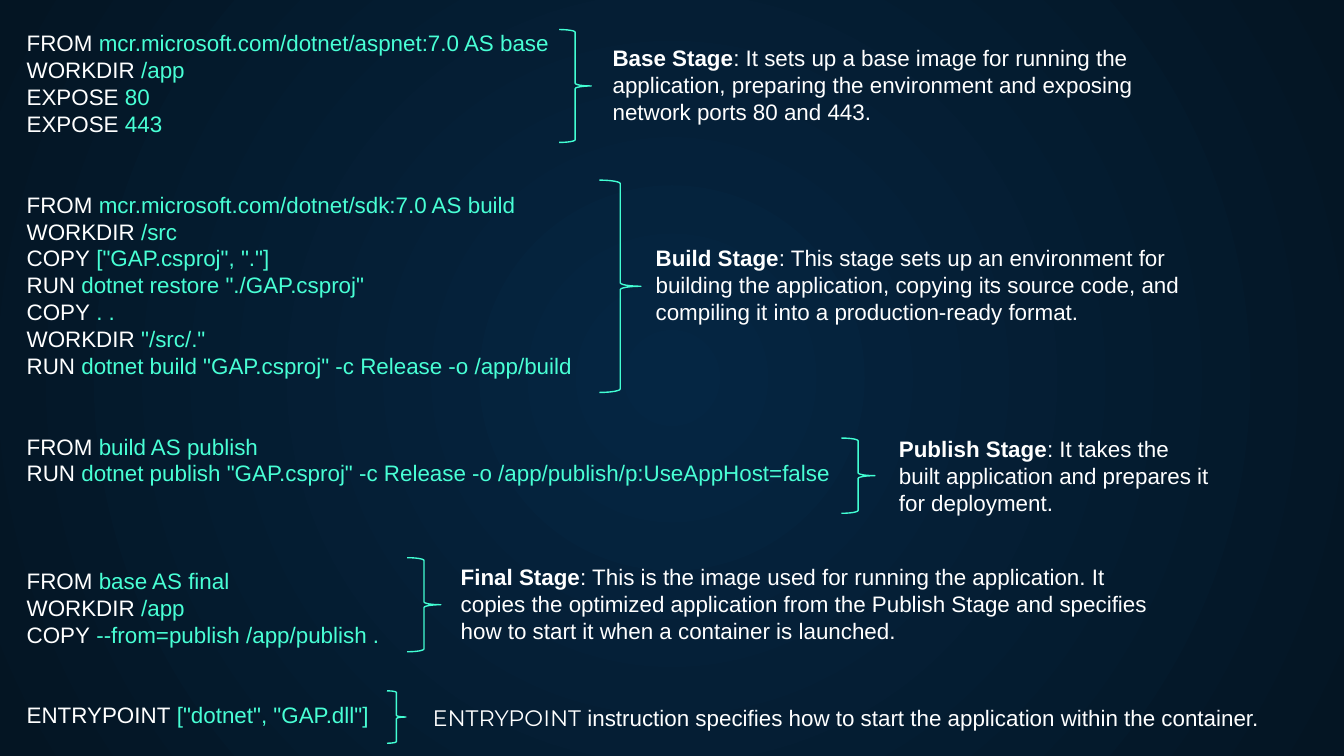
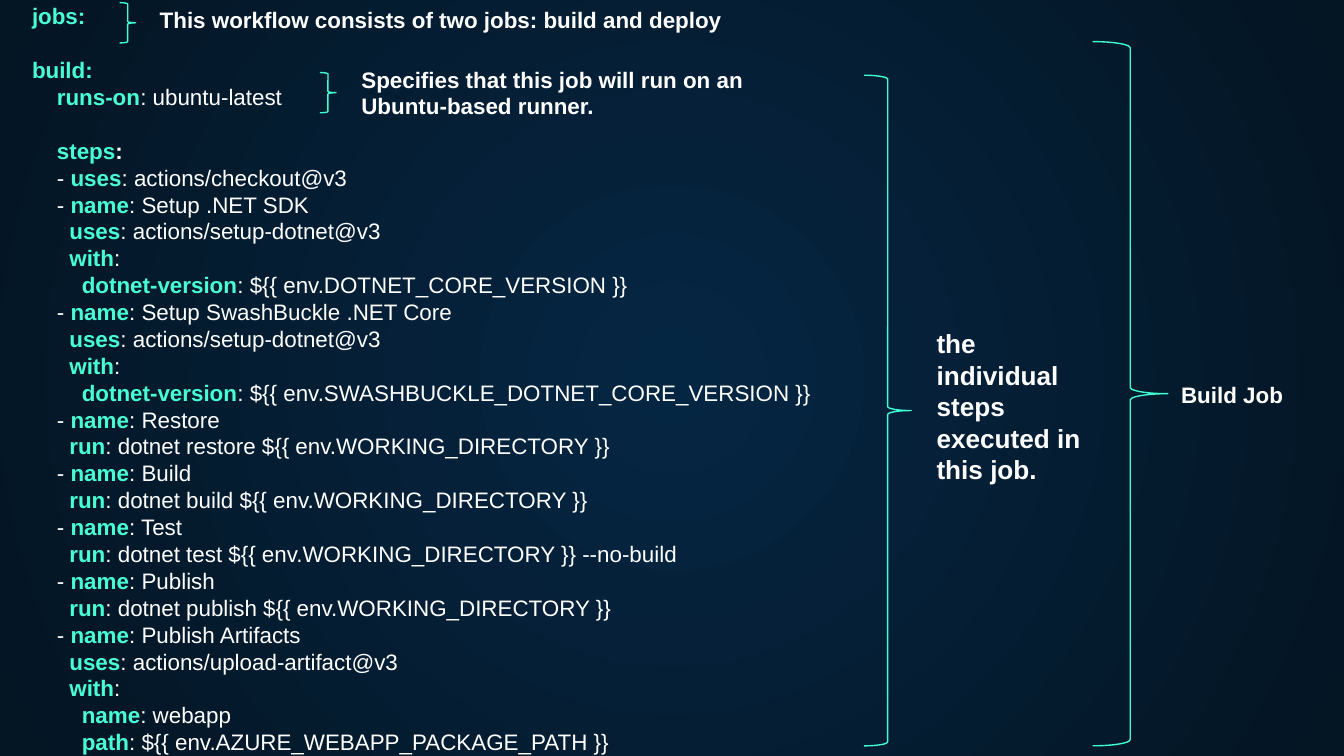
from lxml import etree
from pptx import Presentation
from pptx import util as u
from pptx.dml.color import RGBColor
from pptx.enum import shapes, text
from pptx.oxml.ns import qn

PX = 9144  # 100 px to the inch
WIDTH = 1000
FONT = "Arial"
BODY_SIZE = 12
LINE_FACTOR = 1.2
COLORS = {
    "glow": "052643",
    "night": "041523",
    "white": "FFFFFF",
    "mint": "48FFD5",
    "brace": "42FED3",
}

# Each block: blank lines above it, then its code
DOCKERFILE = [
    (0, """FROM mcr.microsoft.com/dotnet/aspnet:7.0 AS base
WORKDIR /app
EXPOSE 80
EXPOSE 443"""),
    (2, """FROM mcr.microsoft.com/dotnet/sdk:7.0 AS build
WORKDIR /src
COPY ["GAP.csproj", "."]
RUN dotnet restore "./GAP.csproj"
COPY . .
WORKDIR "/src/."
RUN dotnet build "GAP.csproj" -c Release -o /app/build"""),
    (2, """FROM build AS publish
RUN dotnet publish "GAP.csproj" -c Release -o /app/publish/p:UseAppHost=false"""),
    (3, """FROM base AS final
WORKDIR /app
COPY --from=publish /app/publish ."""),
    (2, 'ENTRYPOINT ["dotnet", "GAP.dll"]'),
]
WORKFLOW = [
    (0, "jobs:"),
    (1, """build:
    runs-on: ubuntu-latest"""),
    (1, """    steps:
    - uses: actions/checkout@v3
    - name: Setup .NET SDK
      uses: actions/setup-dotnet@v3
      with:
        dotnet-version: ${{ env.DOTNET_CORE_VERSION }}
    - name: Setup SwashBuckle .NET Core
      uses: actions/setup-dotnet@v3
      with:
        dotnet-version: ${{ env.SWASHBUCKLE_DOTNET_CORE_VERSION }}
    - name: Restore
      run: dotnet restore ${{ env.WORKING_DIRECTORY }}
    - name: Build
      run: dotnet build ${{ env.WORKING_DIRECTORY }}
    - name: Test
      run: dotnet test ${{ env.WORKING_DIRECTORY }} --no-build
    - name: Publish
      run: dotnet publish ${{ env.WORKING_DIRECTORY }}
    - name: Publish Artifacts
      uses: actions/upload-artifact@v3
      with:
        name: webapp
        path: ${{ env.AZURE_WEBAPP_PACKAGE_PATH }}"""),
]

# Each stage: brace place, note place, bold lead, rest of the note
STAGES = [
    ((416, 22, 24, 84), (446, 28, 444, 71), "Base Stage",
     ": It sets up a base image for running the application, preparing the "
     "environment and exposing network ports 80 and 443."),
    ((446, 134, 31, 158), (478, 177, 438, 71), "Build Stage",
     ": This stage sets up an environment for building the application, copying "
     "its source code, and compiling it into a production-ready format."),
    ((626, 326, 25, 56), (659, 319, 252, 71), "Publish Stage",
     ": It takes the built application and prepares it for deployment."),
    ((303, 415, 25, 70), (333, 414, 550, 71), "Final Stage",
     ": This is the image used for running the application. It copies the "
     "optimized application from the Publish Stage and specifies how to start "
     "it when a container is launched."),
]
# Each note: brace place, note place, size, words
JOB_NOTES = [
    ((813, 31, 56, 524), (869, 279, 137, 30), 12, "Build Job"),
    ((238, 54, 12, 30), (259, 44, 328, 50), 12,
     "Specifies that this job will run on an Ubuntu-based runner."),
    ((643, 56, 35, 499), (687, 239, 137, 128), 14,
     "the individual steps executed in this job."),
    ((89, 2, 12, 30), (109, 0, 498, 30), 12,
     "This workflow consists of two jobs: build and deploy"),
]


def emu(place):
    return [length * PX for length in place]


def rgb(name):
    return RGBColor.from_string(COLORS[name])


def add_page(deck):
    """Add a blank slide with the round glow behind it."""
    page = deck.slides.add_slide(deck.slide_layouts[6])
    fill = page.background.fill
    fill.gradient()
    for stop, name in zip(fill.gradient_stops, ("glow", "night")):
        stop.color.rgb = rgb(name)
    gradient = page.element.find(".//" + qn("a:gradFill"))
    gradient.remove(gradient.find(qn("a:lin")))
    circle = etree.SubElement(gradient, qn("a:path"), path="circle")
    sides = dict.fromkeys("ltrb", "50000")
    etree.SubElement(circle, qn("a:fillToRect"), sides)
    return page


def add_brace(page, place):
    brace = page.shapes.add_shape(shapes.MSO_SHAPE.RIGHT_BRACE, *emu(place))
    brace.shadow.inherit = False
    brace.fill.background()
    brace.line.color.rgb = rgb("brace")
    brace.line.width = u.Pt(0.75)


def add_text(page, place, paras, size=BODY_SIZE, anchor=text.MSO_ANCHOR.TOP):
    """Write paras, each (blank lines above, spans); a span is (words, font settings)."""
    frame = page.shapes.add_textbox(*emu(place)).text_frame
    frame.word_wrap = True
    frame.auto_size = text.MSO_AUTO_SIZE.SHAPE_TO_FIT_TEXT
    frame.vertical_anchor = anchor
    for index, (gap, spans) in enumerate(paras):
        para = frame.add_paragraph() if index else frame.paragraphs[0]
        para.line_spacing = u.Pt(size * LINE_FACTOR)
        if gap:
            para.space_before = u.Pt(gap * size * LINE_FACTOR)
        para.font.name = FONT
        para.font.size = u.Pt(size)
        para.font.color.rgb = rgb("white")
        for words, settings in spans:
            span = para.add_run()
            span.text = words
            span.font.bold = settings.get("bold", False)
            span.font.color.rgb = rgb(settings.get("color", "white"))
            if "name" in settings:
                span.font.name = settings["name"]


def docker_spans(line):
    command, space, rest = line.partition(" ")
    return [(command, {}), (space + rest, {"color": "mint"})]


def yaml_spans(line):
    key_style = {"color": "mint", "bold": True}
    body = line.lstrip(" -")
    if body == line:
        return [(line, key_style)]
    key, colon, rest = body.partition(":")
    lead = line[:len(line) - len(body)]
    return [(lead, {}), (key, key_style), (colon + rest, {"bold": key == "steps"})]


def add_code(page, place, blocks, split_line):
    paras = []
    for gap, block in blocks:
        for index, line in enumerate(block.splitlines()):
            paras.append((0 if index else gap, split_line(line)))
    add_text(page, place, paras)


def build_dockerfile_page(deck):
    page = add_page(deck)
    add_code(page, (10, 17, 759, 555), DOCKERFILE, docker_spans)
    for brace_place, note_place, lead, rest in STAGES:
        add_brace(page, brace_place)
        add_text(page, note_place, [(0, [(lead, {"bold": True}), (rest, {})])])
    add_brace(page, (288, 514, 14, 39))
    entrypoint = [
        ("ENTRYPOINT", {"name": "Montserrat"}),
        (" instruction specifies how to start the application within the container.", {}),
    ]
    add_text(page, (312, 519, 652, 30), [(0, entrypoint)],
             anchor=text.MSO_ANCHOR.MIDDLE)


def build_workflow_page(deck):
    page = add_page(deck)
    add_code(page, (14, -3, 936, 576), WORKFLOW, yaml_spans)
    for brace_place, note_place, size, words in JOB_NOTES:
        add_brace(page, brace_place)
        add_text(page, note_place, [(0, [(words, {"bold": True})])], size)


def main():
    deck = Presentation()
    deck.slide_width = WIDTH * PX
    deck.slide_height = WIDTH * PX * 9 // 16
    build_dockerfile_page(deck)
    build_workflow_page(deck)
    deck.save("out.pptx")


if __name__ == "__main__":
    main()
